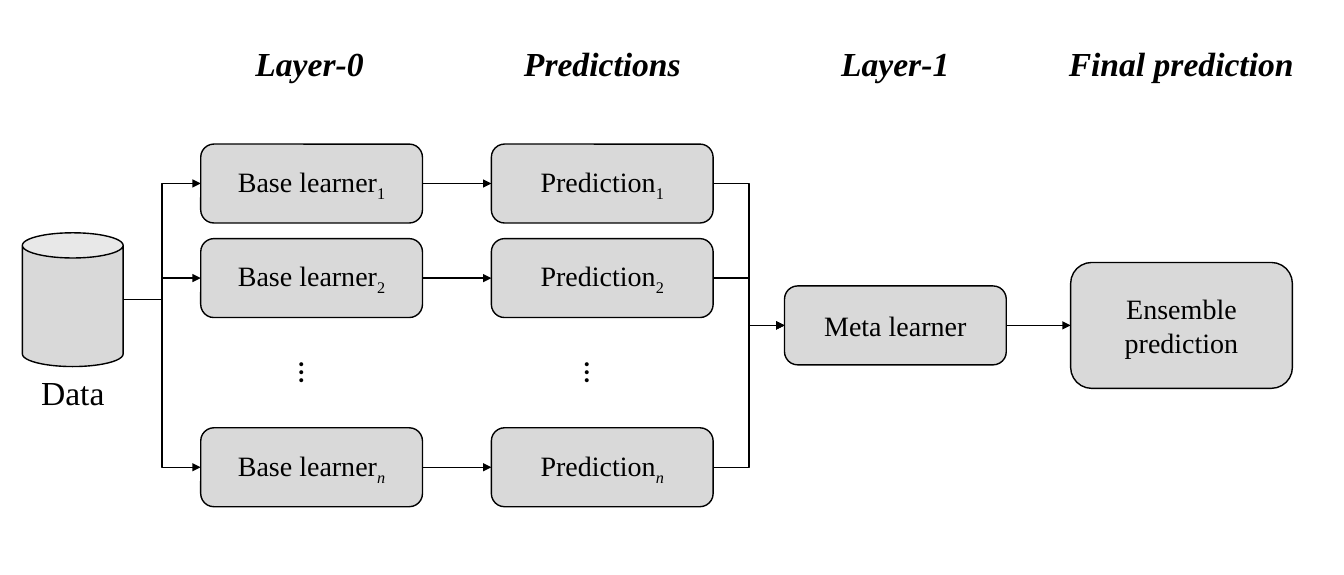
import pptx
import pptx.util
import pptx.dml.color
import pptx.enum.shapes
import pptx.enum.text
import pptx.oxml.ns
import lxml.etree

Pt = pptx.util.Pt
Kind = pptx.enum.shapes.MSO_SHAPE
Link = pptx.enum.shapes.MSO_CONNECTOR
Align = pptx.enum.text.PP_ALIGN
Anchor = pptx.enum.text.MSO_ANCHOR
qn = pptx.oxml.ns.qn

INK = {"text": "000000", "line": "000000", "fill": "D9D9D9"}
BODY = {"size": Pt(20)}
LARGE = {"size": Pt(24)}
HEAD = {"size": Pt(24), "bold": True, "italic": True}


def tint(name):
    return pptx.dml.color.RGBColor.from_string(INK[name])


class Chart:
    """Holds the style and the current slide."""

    font = "Times New Roman"
    width = Pt(1)

    def __init__(self, slide):
        self.slide = slide

    def letter(self, shape, text, form, sub="", anchor=Anchor.MIDDLE):
        frame = shape.text_frame
        frame.word_wrap = True
        frame.vertical_anchor = anchor
        para = frame.paragraphs[0]
        para.alignment = Align.CENTER
        for part in filter(None, (text, sub)):
            run = para.add_run()
            run.text = part
            run.font.color.rgb = tint("text")
            for key, value in {"name": self.font, **form}.items():
                setattr(run.font, key, value)
        if sub:
            run.font.italic = sub.isalpha()
            run.font._element.set("baseline", "-25000")

    def label(self, text, x, y, w, h, form, anchor=Anchor.MIDDLE):
        box = self.slide.shapes.add_textbox(Pt(x), Pt(y), Pt(w), Pt(h))
        self.letter(box, text, form, anchor=anchor)

    def shape(self, kind, x, y, w, h):
        item = self.slide.shapes.add_shape(kind, Pt(x), Pt(y), Pt(w), Pt(h))
        item.shadow.inherit = False
        item.fill.solid()
        item.fill.fore_color.rgb = tint("fill")
        item.line.color.rgb = tint("line")
        item.line.width = self.width
        return item

    def box(self, text, x, y, w, h, sub=""):
        item = self.shape(Kind.ROUNDED_RECTANGLE, x, y, w, h)
        self.letter(item, text, BODY, sub)
        return item

    def dots(self, x, y, w, h):
        item = self.shape(Kind.ROUNDED_RECTANGLE, x, y, w, h)
        item.fill.background()
        item.line.fill.background()
        self.letter(item, "...", LARGE)
        item.text_frame._txBody.bodyPr.set("vert", "vert")

    def arrow(self, start, end, kind=Link.STRAIGHT):
        """Run from the right side of start to the left side of end."""
        item = self.slide.shapes.add_connector(
            kind, start.left + start.width, start.top + start.height // 2,
            end.left, end.top + end.height // 2)
        item.line.color.rgb = tint("line")
        item.line.width = self.width
        edge = item.line._get_or_add_ln()
        lxml.etree.SubElement(edge, qn("a:tailEnd"), type="triangle")
        lxml.etree.SubElement(item._element.spPr, qn("a:effectLst"))


deck = pptx.Presentation()
deck.slide_width, deck.slide_height = Pt(960), Pt(411)
chart = Chart(deck.slides.add_slide(deck.slide_layouts[6]))

# Column headings
WIDE = 209.2
heads = ("Layer-0", "Predictions", "Layer-1", "Final prediction")
for i, head in enumerate(heads):
    w = 199.4 if i == 3 else WIDE
    chart.label(head, 116.5 + i * WIDE, 8.6, w, 72.7, HEAD)

# Data store
data = chart.shape(Kind.CAN, 16, 166.4, 72, 95.6)
chart.label("Data", 16, 262, 72, 36, LARGE, Anchor.TOP)

# Meta learner and final result
W, H = 158.4, 56.4
meta = chart.box("Meta learner", 560.4, 204.4, W, H)
final = chart.box("Ensemble prediction", 764.8, 187.6, W, 90)

# Rows of learners and their predictions, third row left open
TOP, STEP = 103, 67.6
for row, sub in ((0, "1"), (1, "2"), (3, "n")):
    y = TOP + row * STEP
    base = chart.box("Base learner", 143.4, y, W, H, sub)
    pred = chart.box("Prediction", 351, y, W, H, sub)
    chart.arrow(data, base, Link.ELBOW)
    chart.arrow(base, pred)
    chart.arrow(pred, meta, Link.ELBOW)
for x in (144.7, 348.5):
    chart.dots(x, TOP + 2 * STEP, W, H)
chart.arrow(meta, final)

deck.save("out.pptx")
